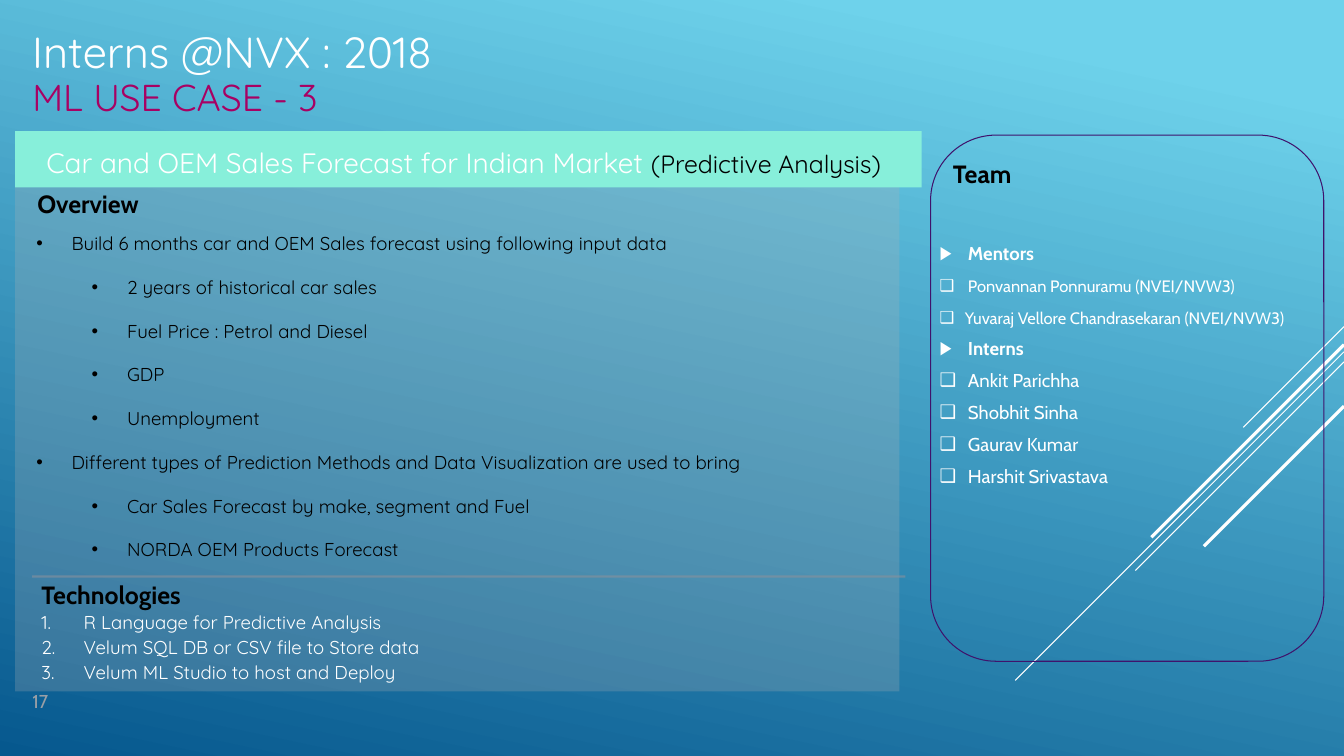
from lxml.etree import SubElement
from pptx import Presentation
from pptx.dml.color import RGBColor
from pptx.enum.shapes import MSO_CONNECTOR as Connector, MSO_SHAPE as Preset
from pptx.enum.text import MSO_ANCHOR as Anchor, MSO_AUTO_SIZE as AutoSize, PP_ALIGN as Align
from pptx.oxml.ns import qn
from pptx.util import Inches, Pt

COLORS = {
    "sky": "6ED2EB", "deep": "06588E", "white": "FFFFFF", "black": "000000",
    "panel": "B2B3B5", "number": "999FA6", "purple": "3F136C",
    "magenta": "A80163", "mint": "87EFDA", "divider": "89919C",
}


def color(name):
    return RGBColor.from_string(COLORS[name])


def apply(target, values):
    for name, value in values.items():
        setattr(target, name, value)


def set_alpha(shape, percent):
    """Make the shape's explicit colour partly transparent."""
    for element in shape.element.spPr.iter(qn("a:srgbClr")):
        SubElement(element, qn("a:alpha"), val=str(percent * 1000))


def run(text, size, color_name, font="Quicksand", bold=False):
    return {"text": text, "size": Pt(size), "color": color_name, "name": font, "bold": bold}


def item(text, size, color_name, bullet, hang, margin=None, level=0, **font):
    """Describe a list entry; a bullet of None means automatic numbering."""
    return {"runs": [run(text, size, color_name, **font)], "bullet": bullet,
            "hang": hang, "margin": margin or hang, "level": level}


class SlideBuilder:
    def __init__(self, presentation, layout_index):
        self.slide = presentation.slides.add_slide(presentation.slide_layouts[layout_index])
        self.shapes = self.slide.shapes
        self.placeholders = {p.placeholder_format.idx: p for p in self.slide.placeholders}

    def background(self, stops, clockwise_angle):
        fill = self.slide.background.fill
        fill.gradient()
        fill.gradient_angle = 360 - clockwise_angle
        for stop, (position, name) in zip(fill.gradient_stops, stops):
            stop.position = position
            stop.color.rgb = color(name)

    def box(self, preset, place, fill=None, line=None, alpha=None):
        shape = self.shapes.add_shape(preset, *map(Inches, place))
        shape.shadow.inherit = False
        if fill:
            shape.fill.solid()
            shape.fill.fore_color.rgb = color(fill)
        else:
            shape.fill.background()
        if line:
            apply(shape.line, {"width": Pt(0.75)})
            shape.line.color.rgb = color(line)
        else:
            shape.line.fill.background()
        if alpha:
            set_alpha(shape, alpha)

    def line(self, start, end, name, width, alpha=None):
        connector = self.shapes.add_connector(Connector.STRAIGHT, *map(Inches, start + end))
        connector.line.color.rgb = color(name)
        connector.line.width = Pt(width)
        SubElement(connector.element.spPr, qn("a:effectLst"))
        if alpha:
            set_alpha(connector, alpha)

    def text(self, place, paragraphs, spacing=1.0, before=0, placeholder=None, wrap=True):
        """Fill a new text box, or the placeholder with the given index."""
        if placeholder is None:
            shape = self.shapes.add_textbox(*map(Inches, place))
        else:
            shape = self.placeholders.pop(placeholder)
            apply(shape, dict(zip(("left", "top", "width", "height"), map(Inches, place))))
            self.shapes.element.append(shape.element)
        frame = shape.text_frame
        apply(frame, {"margin_left": 0, "margin_top": 0, "margin_right": 0, "margin_bottom": 0,
                      "word_wrap": wrap, "auto_size": AutoSize.NONE,
                      "vertical_anchor": Anchor.TOP})
        for index, entry in enumerate(paragraphs):
            paragraph = frame.add_paragraph() if index else frame.paragraphs[0]
            if "hang" in entry:
                self.bullet(paragraph, entry)
            apply(paragraph, {"alignment": Align.LEFT, "line_spacing": spacing,
                              "space_before": Pt(before if index else 0), "space_after": Pt(0)})
            for values in entry["runs"]:
                values = dict(values)
                piece = paragraph.add_run()
                piece.text = values.pop("text")
                piece.font.color.rgb = color(values.pop("color"))
                apply(piece.font, values)

    def bullet(self, paragraph, entry):
        paragraph.level = entry["level"]
        properties = paragraph._p.get_or_add_pPr()
        properties.set("marL", str(Inches(entry["margin"])))
        properties.set("indent", str(-Inches(entry["hang"])))
        if entry["bullet"]:
            SubElement(properties, qn("a:buChar"), char=entry["bullet"])
        else:
            SubElement(properties, qn("a:buAutoNum"), type="arabicPeriod")

    def heading(self, text, left, top):
        self.text((left, top, 2.97, 0.22),
                  [{"runs": [run(text, 17.8, "black", "Cabin", True)]}], Pt(17.8))

    def remove_empty_placeholders(self):
        for shape in self.placeholders.values():
            self.shapes.element.remove(shape.element)


def main():
    presentation = Presentation()
    apply(presentation, {"slide_width": Inches(13.33), "slide_height": Inches(7.5)})
    builder = SlideBuilder(presentation, 4)
    builder.background([(0.1, "sky"), (1.0, "deep")], 102)

    right_edge = 13.33
    for top, reach, width in [(3.24, 1, 0.75), (3.49, 3.26, 0.75), (3.59, 2.07, 0.75),
                              (3.42, 1.91, 2.25), (4.03, 1.39, 2.25)]:
        builder.line((right_edge, top), (right_edge - reach, top + reach), "white", width)

    builder.box(Preset.RECTANGLE, (0.15, 1.4, 8.77, 5.46), fill="panel", alpha=25)
    builder.text((0.32, 6.84, 0.35, 0.5), [{"runs": [run("17", 13.3, "number", "Cabin")]}],
                 wrap=False)
    builder.box(Preset.ROUNDED_RECTANGLE, (9.23, 1.34, 3.9, 5.22), line="purple")

    team = [("Mentors", 13.3, "▶", 0.28),
            ("Ponvannan Ponnuramu (NVEI/NVW3)", 11.8, "❑", 0.28),
            ("Yuvaraj Vellore Chandrasekaran (NVEI/NVW3)", 11.8, "❑", 0.25),
            ("Interns", 13.3, "▶", 0.28)]
    team += [(name, 13.3, "❑", 0.28) for name in
             ("Ankit Parichha", "Shobhit Sinha", "Gaurav Kumar", "Harshit Srivastava")]
    builder.text((9.32, 2.37, 3.71, 2.6),
                 [item(name, size, "white", mark, hang, font="Cabin", bold=mark == "▶")
                  for name, size, mark, hang in team],
                 Pt(17.8), 5, placeholder=4)

    for text, left, top in [("Overview", 0.37, 1.92), ("Technologies", 0.41, 5.8),
                            ("Team", 9.45, 1.62)]:
        builder.heading(text, left, top)

    builder.text((0.32, 0.31, 12.7, 0.47),
                 [{"runs": [run("Interns @NVX : 2018", 31.1, "white")]}], 0.89)
    builder.text((0.32, 0.79, 12.7, 0.47),
                 [{"runs": [run("ML USE CASE - 3", 26.7, "magenta")]}], 0.89, placeholder=0)

    builder.box(Preset.RECTANGLE, (0.15, 1.3, 8.99, 0.56), fill="mint")
    builder.text((0.46, 1.44, 8.69, 0.44),
                 [{"runs": [run("Car and OEM Sales Forecast for Indian Market ", 20, "white"),
                            run("(Predictive Analysis)", 17.8, "black")]}])
    builder.line((0.32, 5.72), (8.98, 5.72), "divider", 1.5, alpha=60)

    overview = [
        (0, "Build 6 months car and OEM Sales forecast using following input data"),
        (1, "2 years of historical car sales"),
        (1, "Fuel Price : Petrol and Diesel"),
        (1, "GDP"),
        (1, "Unemployment"),
        (0, "Different types of Prediction Methods and Data Visualization are used to bring"),
        (1, "Car Sales Forecast by make, segment and Fuel"),
        (1, "NORDA OEM Products Forecast"),
    ]
    builder.text((0.36, 2.17, 8.44, 3.39),
                 [item(text, 13.3, "black", "•", 0.35, 0.35 + 0.55 * level, level)
                  for level, text in overview],
                 Pt(25.6), 5.6, placeholder=2)

    technologies = ["R Language for Predictive Analysis",
                    "Velum SQL DB or CSV file to Store data",
                    "Velum ML Studio to host and Deploy"]
    builder.text((0.41, 6.13, 6.51, 0.81),
                 [item(text, 13.3, "white", None, 0.42) for text in technologies],
                 Pt(11.1), 6.7, placeholder=1)

    builder.remove_empty_placeholders()
    presentation.save("out.pptx")


if __name__ == "__main__":
    main()
